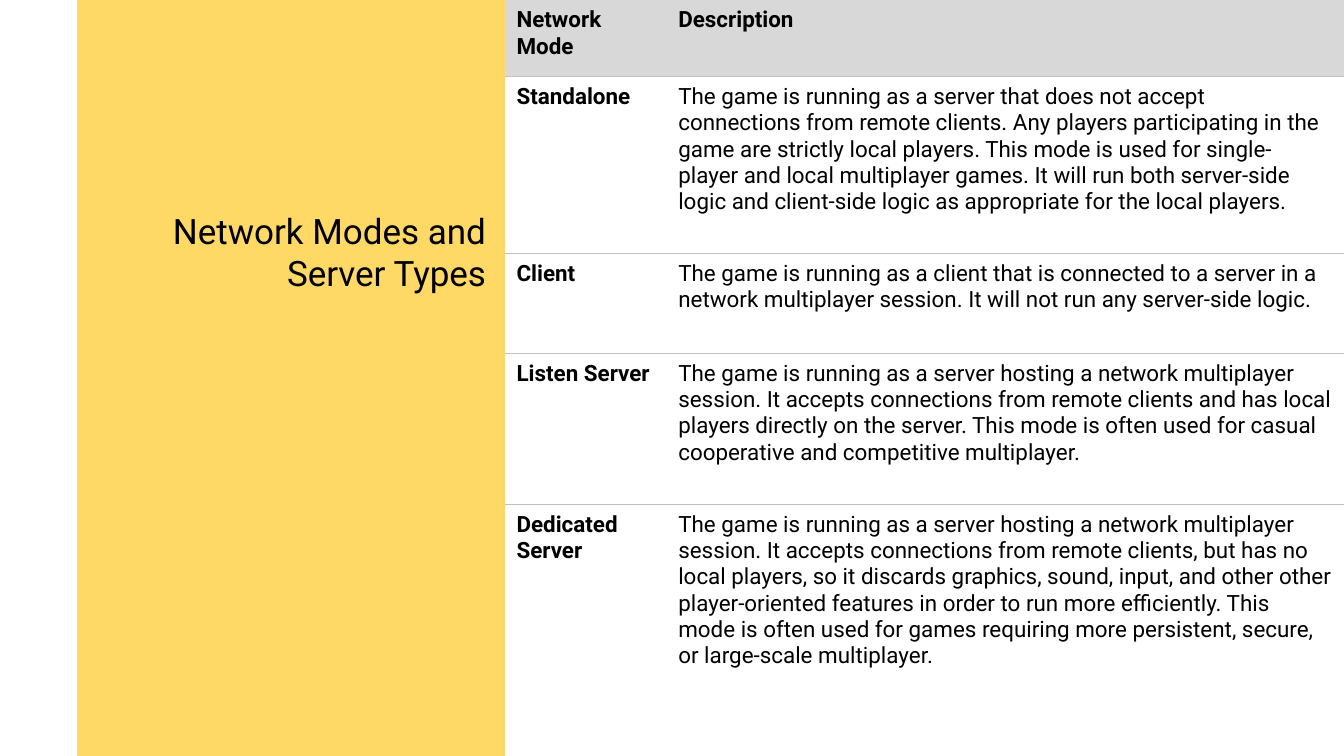
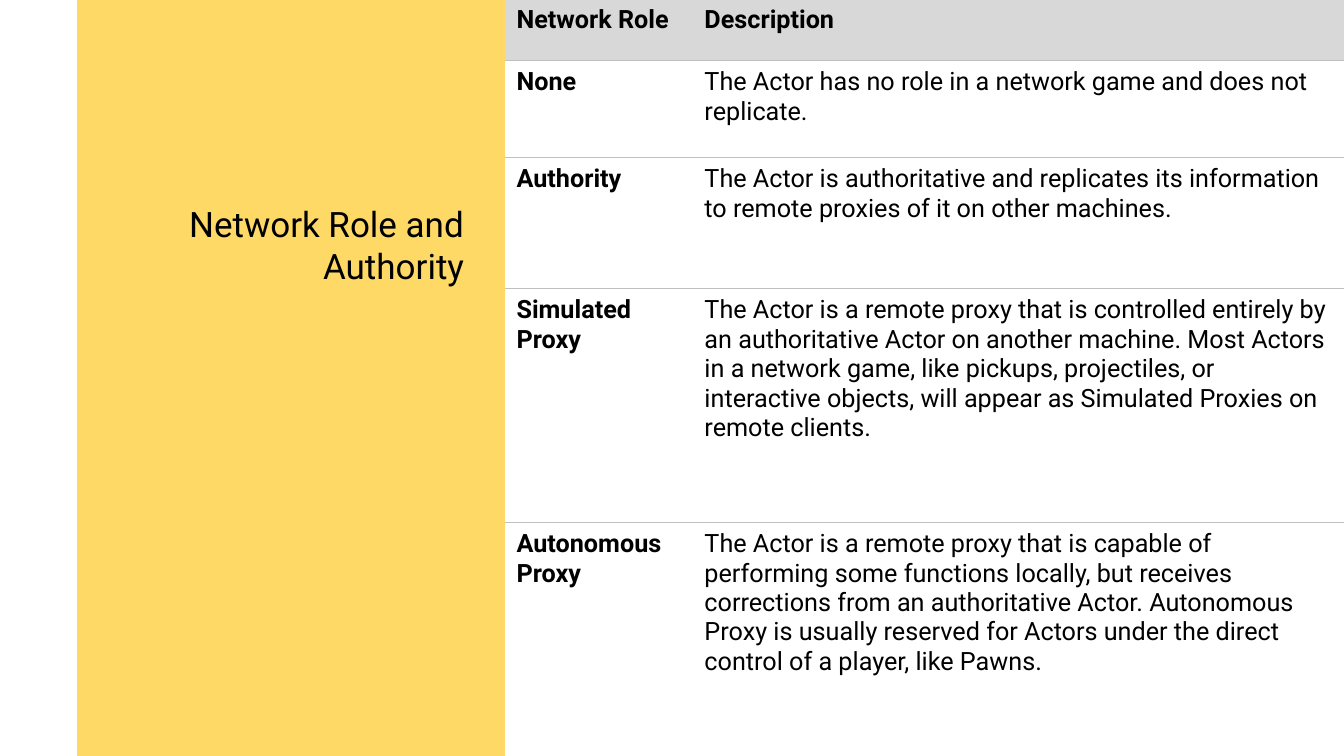
from lxml import etree
from pptx import Presentation
from pptx.dml.color import RGBColor
from pptx.enum.shapes import MSO_SHAPE
from pptx.enum.text import MSO_AUTO_SIZE, PP_ALIGN
from pptx.oxml.ns import qn
from pptx.util import Inches, Pt

RECT = MSO_SHAPE.RECTANGLE
RIGHT = PP_ALIGN.RIGHT
GROW = MSO_AUTO_SIZE.SHAPE_TO_FIT_TEXT

COLORS = {"band": "FFD966", "header": "D8D8D8", "body": "FFFFFF",
          "rule": "C0C0C0", "text": "000000"}
FONT = "Roboto"
TITLE_SIZE = 50
TITLE_INSET = 0.06
RULE_WIDTH = 0.75
TABLE_LEFT = 10.02
CELL_MARGINS = {"margin_left": 0.23, "margin_right": 0.23,
                "margin_top": 0.14, "margin_bottom": 0.14}

SLIDES = [
    {
        "title": "Network Modes and Server Types",
        "title_at": (2.08, 4.1, 7.63, 1.8),
        "top": 0,
        "size": 32,
        "cols": [3.21, 13.44],
        "heights": [1.52, 3.51, 1.98, 3, 4.99],
        "rows": [
            ("Network Mode", "Description"),
            ("Standalone",
             "The game is running as a server that does not accept connections "
             "from remote clients. Any players participating in the game are "
             "strictly local players. This mode is used for single-player and "
             "local multiplayer games. It will run both server-side logic and "
             "client-side logic as appropriate for the local players."),
            ("Client",
             "The game is running as a client that is connected to a server in "
             "a network multiplayer session. It will not run any server-side "
             "logic."),
            ("Listen Server",
             "The game is running as a server hosting a network multiplayer "
             "session. It accepts connections from remote clients and has "
             "local players directly on the server. This mode is often used "
             "for casual cooperative and competitive multiplayer."),
            ("Dedicated Server",
             "The game is running as a server hosting a network multiplayer "
             "session. It accepts connections from remote clients, but has no "
             "local players, so it discards graphics, sound, input, and other "
             "other player-oriented features in order to run more efficiently. "
             "This mode is often used for games requiring more persistent, "
             "secure, or large-scale multiplayer."),
        ],
    },
    {
        "title": "Network Role and Authority",
        "title_at": (2.08, 3.96, 7.19, 1.8),
        "top": -0.03,
        "size": 36,
        "cols": [3.73, 12.92],
        "heights": [1.23, 1.92, 2.6, 4.64, 4.64],
        "rows": [
            ("Network Role", "Description"),
            ("None",
             "The Actor has no role in a network game and does not replicate."),
            ("Authority",
             "The Actor is authoritative and replicates its information to "
             "remote proxies of it on other machines."),
            ("Simulated Proxy",
             "The Actor is a remote proxy that is controlled entirely by an "
             "authoritative Actor on another machine. Most Actors in a network "
             "game, like pickups, projectiles, or interactive objects, will "
             "appear as Simulated Proxies on remote clients."),
            ("Autonomous Proxy",
             "The Actor is a remote proxy that is capable of performing some "
             "functions locally, but receives corrections from an "
             "authoritative Actor. Autonomous Proxy is usually reserved for "
             "Actors under the direct control of a player, like Pawns."),
        ],
    },
]


def write(tf, text, size, bold=False):
    p = tf.paragraphs[0]
    r = p.add_run()
    r.text = text
    fmt = {"name": FONT, "size": Pt(size), "bold": bold}
    for name, value in fmt.items():
        setattr(r.font, name, value)
    r.font.color.rgb = RGBColor.from_string(COLORS["text"])
    return p


def set_borders(cell, ruled):
    tc_pr = cell._tc.get_or_add_tcPr()
    for i, side in enumerate(("lnL", "lnR", "lnT", "lnB")):
        ln = etree.Element(qn("a:" + side), w=str(Pt(RULE_WIDTH)))
        if side in ruled:
            fill = etree.SubElement(ln, qn("a:solidFill"))
            etree.SubElement(fill, qn("a:srgbClr"), val=COLORS["rule"])
        else:
            etree.SubElement(ln, qn("a:noFill"))
        tc_pr.insert(i, ln)


prs = Presentation()
prs.slide_width, prs.slide_height = Inches(26.67), Inches(15)

for data in SLIDES:
    s = prs.slides.add_slide(prs.slide_layouts[6])

    # Yellow title band
    sp = s.shapes.add_shape(RECT, Inches(1.53), Inches(-0.05),
                            Inches(8.49), Inches(15.11))
    sp.shadow.inherit = False
    sp.fill.solid()
    sp.fill.fore_color.rgb = RGBColor.from_string(COLORS["band"])
    sp.line.fill.background()

    # Title
    tf = s.shapes.add_textbox(*map(Inches, data["title_at"])).text_frame
    tf.word_wrap = True
    tf.auto_size = GROW
    for name in CELL_MARGINS:
        setattr(tf, name, Inches(TITLE_INSET))
    write(tf, data["title"], TITLE_SIZE).alignment = RIGHT

    # Table
    rows, cols, heights = data["rows"], data["cols"], data["heights"]
    table = s.shapes.add_table(
        len(rows), len(cols), Inches(TABLE_LEFT), Inches(data["top"]),
        Inches(sum(cols)), Inches(sum(heights))).table
    table.first_row = table.horz_banding = False
    for column, width in zip(table.columns, cols):
        column.width = Inches(width)
    for row, height in zip(table.rows, heights):
        row.height = Inches(height)

    # Cells: rules only between rows, bold header and first column
    for i, texts in enumerate(rows):
        ruled = [side for side, on in (("lnT", i > 0),
                                       ("lnB", i < len(rows) - 1)) if on]
        for j, text in enumerate(texts):
            cell = table.cell(i, j)
            for name, value in CELL_MARGINS.items():
                setattr(cell, name, Inches(value))
            cell.fill.solid()
            cell.fill.fore_color.rgb = RGBColor.from_string(
                COLORS["body" if i else "header"])
            set_borders(cell, ruled)
            write(cell.text_frame, text, data["size"], i == 0 or j == 0)

prs.save("out.pptx")
